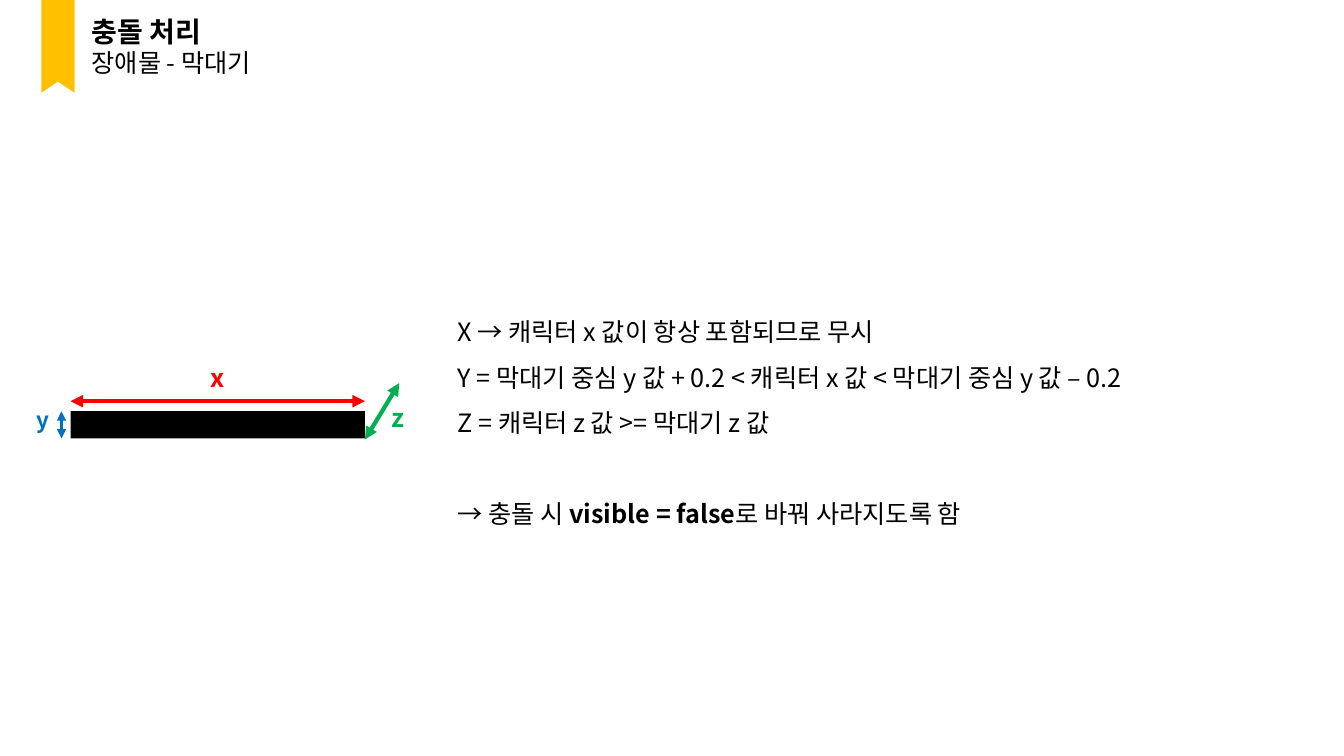
from lxml import etree
from pptx import Presentation
from pptx.dml.color import RGBColor
from pptx.enum.shapes import MSO_CONNECTOR, MSO_SHAPE
from pptx.enum.text import MSO_ANCHOR, MSO_AUTO_SIZE, PP_ALIGN
from pptx.oxml.ns import qn
from pptx.util import Inches, Pt

STRAIGHT = MSO_CONNECTOR.STRAIGHT
RECTANGLE = MSO_SHAPE.RECTANGLE
TOP = MSO_ANCHOR.TOP
NO_AUTOFIT = MSO_AUTO_SIZE.NONE
LEFT = PP_ALIGN.LEFT

FONT = "Noto Sans CJK KR"
BLACK = RGBColor(0x00, 0x00, 0x00)
RED = RGBColor(0xFF, 0x00, 0x00)
BLUE = RGBColor(0x00, 0x70, 0xC0)
GREEN = RGBColor(0x00, 0xB0, 0x50)
AMBER = RGBColor(0xFF, 0xC0, 0x00)


def add_run(p, text, size=18, color=BLACK, bold=False):
    r = p.add_run()
    r.text = text
    r.font.name = FONT
    r.font.size = Pt(size)
    r.font.bold = bold
    r.font.color.rgb = color
    # Korean characters take the East Asian typeface
    latin = r.font._element.find(qn("a:latin"))
    ea = etree.Element(qn("a:ea"), typeface=FONT)
    latin.addnext(ea)


def add_text(s, left, top, width, height):
    box = s.shapes.add_textbox(Inches(left), Inches(top),
                               Inches(width), Inches(height))
    box.text_frame.word_wrap = True
    return box.text_frame


def paint(sp, color):
    sp.shadow.inherit = False
    sp.fill.solid()
    sp.fill.fore_color.rgb = color
    sp.line.fill.background()


def add_dimension(s, start, end, color, weight):
    line = s.shapes.add_connector(STRAIGHT, *map(Inches, start + end))
    line.line.color.rgb = color
    line.line.width = Pt(weight)
    ln = line.line._get_or_add_ln()
    for tag in ("a:headEnd", "a:tailEnd"):
        etree.SubElement(ln, qn(tag), type="triangle")
    etree.SubElement(line._element.spPr, qn("a:effectLst"))


def add_label(s, left, top, text, color, size=18):
    tf = add_text(s, left, top, 0.42, 0.4)
    add_run(tf.paragraphs[0], text, size, color, True)


def add_header(s, left, top):
    # Bookmark ribbon with a notched end
    width, height, notch = 0.33, 0.92, 0.11
    outline = [(left + width, top), (left + width, top + height),
               (left + width / 2, top + height - notch), (left, top + height)]
    ribbon = s.shapes.build_freeform(Inches(left), Inches(top))
    ribbon.add_line_segments([(Inches(x), Inches(y)) for x, y in outline])
    paint(ribbon.convert_to_shape(), AMBER)

    # Title and subtitle
    title = s.shapes.title
    title.left, title.top = Inches(left + 0.4), Inches(top + 0.09)
    title.width, title.height = Inches(2), Inches(0.74)
    tf = title.text_frame
    tf.auto_size = NO_AUTOFIT
    tf.vertical_anchor = TOP
    tf.word_wrap = True
    add_run(tf.paragraphs[0], "충돌 처리", 20, bold=True)
    add_run(tf.add_paragraph(), "장애물 - 막대기")
    for p in tf.paragraphs:
        p.alignment = LEFT


def add_bar_diagram(s, left, top, width, height):
    right, bottom = left + width, top + height
    bar = s.shapes.add_shape(RECTANGLE, Inches(left), Inches(top),
                             Inches(width), Inches(height))
    paint(bar, BLACK)

    # Width, height and depth of the bar
    add_dimension(s, (left, top - 0.1), (right, top - 0.1), RED, 3)
    add_label(s, left + 1.29, top - 0.53, "x", RED)
    add_dimension(s, (left - 0.09, top), (left - 0.09, bottom), BLUE, 2.25)
    add_label(s, left - 0.44, top - 0.1, "y", BLUE, 16)
    add_dimension(s, (right + 0.34, top - 0.28), (right, bottom + 0.01),
                  GREEN, 3)
    add_label(s, right + 0.16, top - 0.14, "z", GREEN)


def add_rules(s, left, top, width, height):
    rules = [
        [("X → 캐릭터 x 값이 항상 포함되므로 무시", False)],
        [("Y = 막대기 중심 y 값 + 0.2 < 캐릭터 x 값 < 막대기 중심 y 값 – 0.2",
          False)],
        [("Z = 캐릭터 z 값 >= 막대기 z 값", False)],
        [("→ 충돌 시 ", False), ("visible = false", True),
         ("로 바꿔 사라지도록 함", False)],
    ]
    tf = add_text(s, left, top, width, height)
    for i, parts in enumerate(rules):
        p = tf.add_paragraph() if i else tf.paragraphs[0]
        p.line_spacing = 1.5
        for text, bold in parts:
            add_run(p, text, bold=bold)
    # The outcome stands one line apart from the conditions
    p.space_before = Pt(32.5)


def main():
    prs = Presentation()
    prs.slide_width, prs.slide_height = Inches(13.33), Inches(7.5)
    s = prs.slides.add_slide(prs.slide_layouts[5])
    add_header(s, 0.41, 0)
    add_bar_diagram(s, 0.7, 4.08, 2.92, 0.27)
    add_rules(s, 4.44, 2.94, 8.62, 2.31)
    prs.save("out.pptx")


if __name__ == "__main__":
    main()
